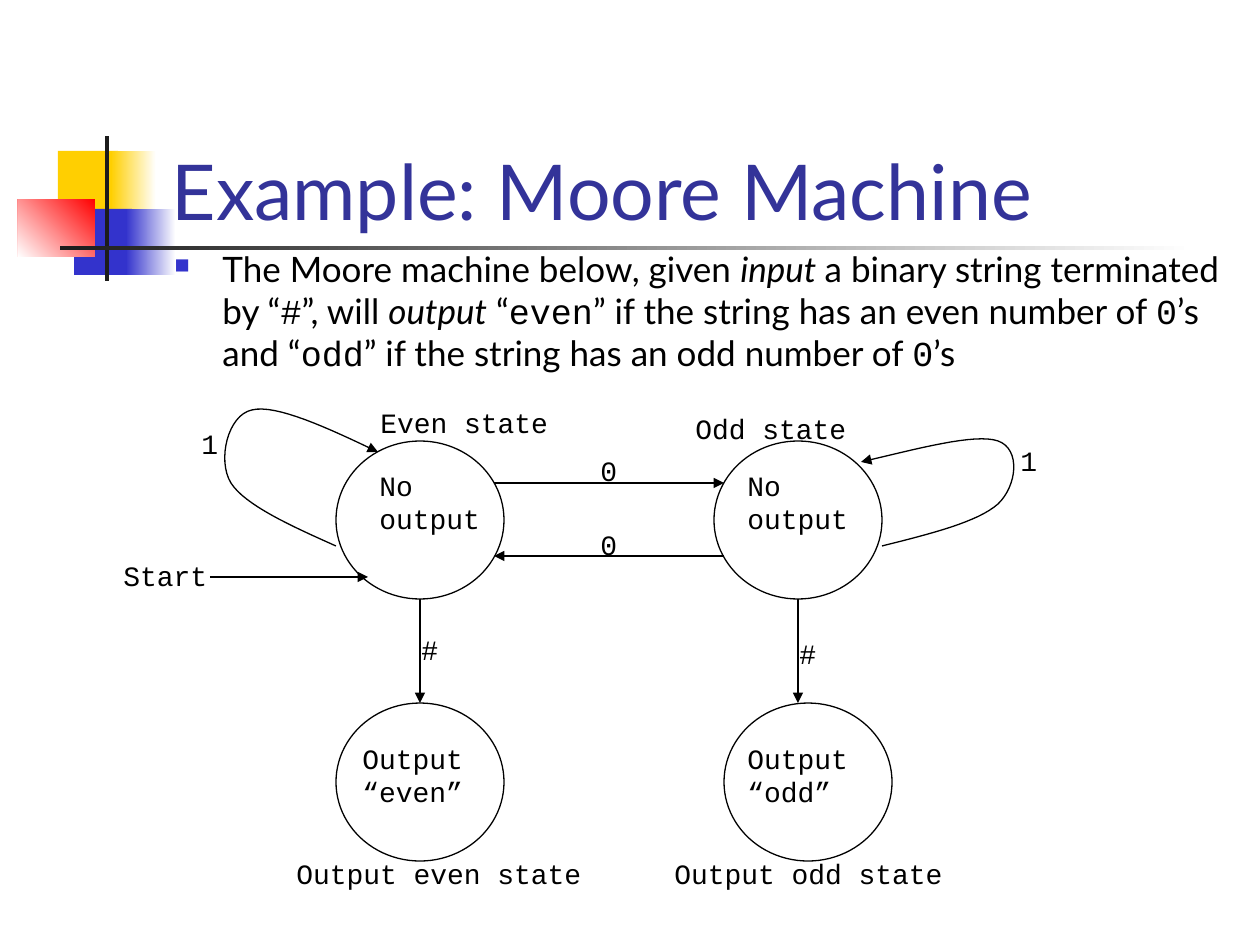
from lxml.etree import SubElement
from pptx import Presentation
from pptx.dml.color import RGBColor
from pptx.enum.shapes import MSO_CONNECTOR, MSO_SHAPE
from pptx.enum.text import MSO_ANCHOR, MSO_AUTO_SIZE, PP_ALIGN
from pptx.oxml.ns import qn
from pptx.util import Pt

PX = 914400 / 126  # EMU in one px

BLACK = RGBColor(0x00, 0x00, 0x00)
WHITE = RGBColor(0xFF, 0xFF, 0xFF)
CHARCOAL = RGBColor(0x1C, 0x1C, 0x1C)
YELLOW = RGBColor(0xFF, 0xCF, 0x01)
RED = RGBColor(0xFF, 0x00, 0x00)
BLUE = RGBColor(0x33, 0x33, 0xCC)
INDIGO = RGBColor(0x33, 0x33, 0x99)
SANS, MONO = "Lato", "Courier New"

# left, top, width, height, gradient start (None if solid), colour, angle
DECOR = [
    (58, 151, 60, 66, None, YELLOW, 0),
    (111, 151, 45, 66, WHITE, YELLOW, 180),
    (74, 209, 58, 66, None, BLUE, 0),
    (126, 209, 50, 66, WHITE, BLUE, 180),
    (18, 199, 77, 58, RED, WHITE, 225),
    (105, 136, 4, 145, None, CHARCOAL, 0),
    (60, 246, 1134, 4, WHITE, CHARCOAL, 180),
]
INTRO = [
    ("The Moore machine below, given ", {}), ("input ", {"italic": True}),
    ("a binary string terminated by “", {}), ("#", {"font": MONO}),
    ("”, will ", {}), ("output", {"italic": True}),
    (" “", {}), ("even", {"font": MONO}),
    ("” if the string has an even number of ", {}), ("0", {"font": MONO}),
    ("’s and “", {}), ("odd", {"font": MONO}),
    ("” if the string has an odd number of ", {}), ("0", {"font": MONO}),
    ("’s", {}),
]
STATES = [(336, 441), (714, 441), (336, 703), (724, 703)]
STATE_SIZE = (168, 158)
ARROWS = [
    (494, 483, 724, 483), (724, 556, 494, 556),  # on 0
    (420, 599, 420, 703), (798, 599, 798, 703),  # on #
    (210, 577, 368, 577),                        # start
]
# start point, then three control points for each Bezier segment
LOOPS = [
    [(336, 546), (291, 526), (245, 505), (231, 483), (217, 460), (228, 415),
     (252, 410), (276, 404), (328, 428), (378, 452)],
    [(882, 546), (930, 534), (978, 522), (998, 504), (1017, 486), (1021, 449),
     (998, 441), (975, 433), (917, 449), (861, 462)],
]
# text, left, top, width, height
LABELS = [
    ("Even state", 368, 399, 196, 46),
    ("Odd state", 683, 405, 180, 46),
    ("Output even state", 284, 850, 314, 46),
    ("Output odd state", 662, 850, 298, 46),
    ("No\noutput", 367, 462, 130, 80),
    ("No\noutput", 735, 462, 130, 80),
    ("Output\n“even”", 350, 735, 142, 80),
    ("Output\n“odd”", 735, 735, 142, 80),
    ("0", 588, 447, 44, 46),
    ("0", 588, 521, 44, 46),
    ("1", 1008, 437, 44, 46),
    ("1", 189, 420, 44, 46),
    ("#", 409, 626, 44, 46),
    ("#", 787, 630, 44, 46),
    ("Start", 111, 552, 113, 46),
]


def px(*lengths):
    return [round(n * PX) for n in lengths]


def add_run(p, text, font=SANS, size=16, color=BLACK, italic=False):
    r = p.add_run()
    r.text = text
    r.font.name, r.font.size, r.font.italic = font, Pt(size), italic
    r.font.color.rgb = color


def write_text(tf, text, **style):
    """Write one paragraph for each line of text."""
    for i, line in enumerate(text.split("\n")):
        p = tf.paragraphs[0] if i == 0 else tf.add_paragraph()
        p.alignment = PP_ALIGN.LEFT
        add_run(p, line, **style)


def add_arrowhead(sp):
    ln = sp.line._get_or_add_ln()
    SubElement(ln, qn("a:tailEnd"), type="triangle")


def set_outline(sp):
    sp.line.color.rgb = BLACK
    sp.line.width = Pt(0.75)


def add_block(s, x, y, w, h, start, color, angle):
    sp = s.shapes.add_shape(MSO_SHAPE.RECTANGLE, *px(x, y, w, h))
    sp.shadow.inherit = False
    sp.line.fill.background()
    if start is None:
        sp.fill.solid()
        sp.fill.fore_color.rgb = color
    else:
        sp.fill.gradient()
        sp.fill.gradient_angle = angle
        for stop, rgb in zip(sp.fill.gradient_stops, (start, color)):
            stop.color.rgb = rgb


def add_title(s, text):
    sp = s.shapes.title
    sp.left, sp.top, sp.width, sp.height = px(159, 84, 1074, 158)
    tf = sp.text_frame
    tf.auto_size = MSO_AUTO_SIZE.NONE
    tf.vertical_anchor = MSO_ANCHOR.BOTTOM
    write_text(tf, text, size=44, color=INDIGO)
    s.shapes._spTree.append(sp._element)  # in front of the blocks


def add_intro(s):
    tf = s.shapes.add_textbox(*px(162, 241, 1072, 567)).text_frame
    tf.word_wrap = True
    p = tf.paragraphs[0]
    pPr = p._p.get_or_add_pPr()
    indent = px(48)[0]
    pPr.set("marL", str(indent))
    pPr.set("indent", str(-indent))
    bullet_color = SubElement(pPr, qn("a:buClr"))
    SubElement(bullet_color, qn("a:srgbClr"), val=str(BLUE))
    SubElement(pPr, qn("a:buSzPct"), val="60000")
    SubElement(pPr, qn("a:buChar"), char="■")
    for text, style in INTRO:
        add_run(p, text, size=20, **style)


def add_state(s, x, y):
    sp = s.shapes.add_shape(MSO_SHAPE.OVAL, *px(x, y, *STATE_SIZE))
    sp.shadow.inherit = False
    sp.fill.background()
    set_outline(sp)


def add_arrow(s, *ends):
    cx = s.shapes.add_connector(MSO_CONNECTOR.STRAIGHT, *px(*ends))
    set_outline(cx)
    add_arrowhead(cx)
    SubElement(cx._element.spPr, qn("a:effectLst"))


def bezier_points(points, steps=16):
    """Points along a chain of cubic Bezier segments, after its start."""
    for i in range(0, len(points) - 1, 3):
        for k in range(1, steps + 1):
            t = k / steps
            weights = ((1 - t) ** 3, 3 * t * (1 - t) ** 2, 3 * t * t * (1 - t), t ** 3)
            yield tuple(sum(w * pt[axis] for w, pt in zip(weights, points[i:i + 4]))
                        for axis in (0, 1))


def add_loop(s, points):
    builder = s.shapes.build_freeform(*px(*points[0]))
    builder.add_line_segments([px(*pt) for pt in bezier_points(points)], close=False)
    sp = builder.convert_to_shape()
    sp.shadow.inherit = False
    sp.fill.background()
    set_outline(sp)
    add_arrowhead(sp)


def add_label(s, text, *box):
    tf = s.shapes.add_textbox(*px(*box)).text_frame
    tf.word_wrap = False
    tf.auto_size = MSO_AUTO_SIZE.NONE
    write_text(tf, text, font=MONO)


def main():
    prs = Presentation()
    prs.slide_width, prs.slide_height = px(1260, 945)
    s = prs.slides.add_slide(prs.slide_layouts[5])

    # Heading and introduction
    for block in DECOR:
        add_block(s, *block)
    add_title(s, "Example: Moore Machine")
    add_intro(s)

    # State diagram
    for state in STATES:
        add_state(s, *state)
    for arrow in ARROWS:
        add_arrow(s, *arrow)
    for loop in LOOPS:
        add_loop(s, loop)
    for label in LABELS:
        add_label(s, *label)

    prs.save("out.pptx")


if __name__ == "__main__":
    main()
